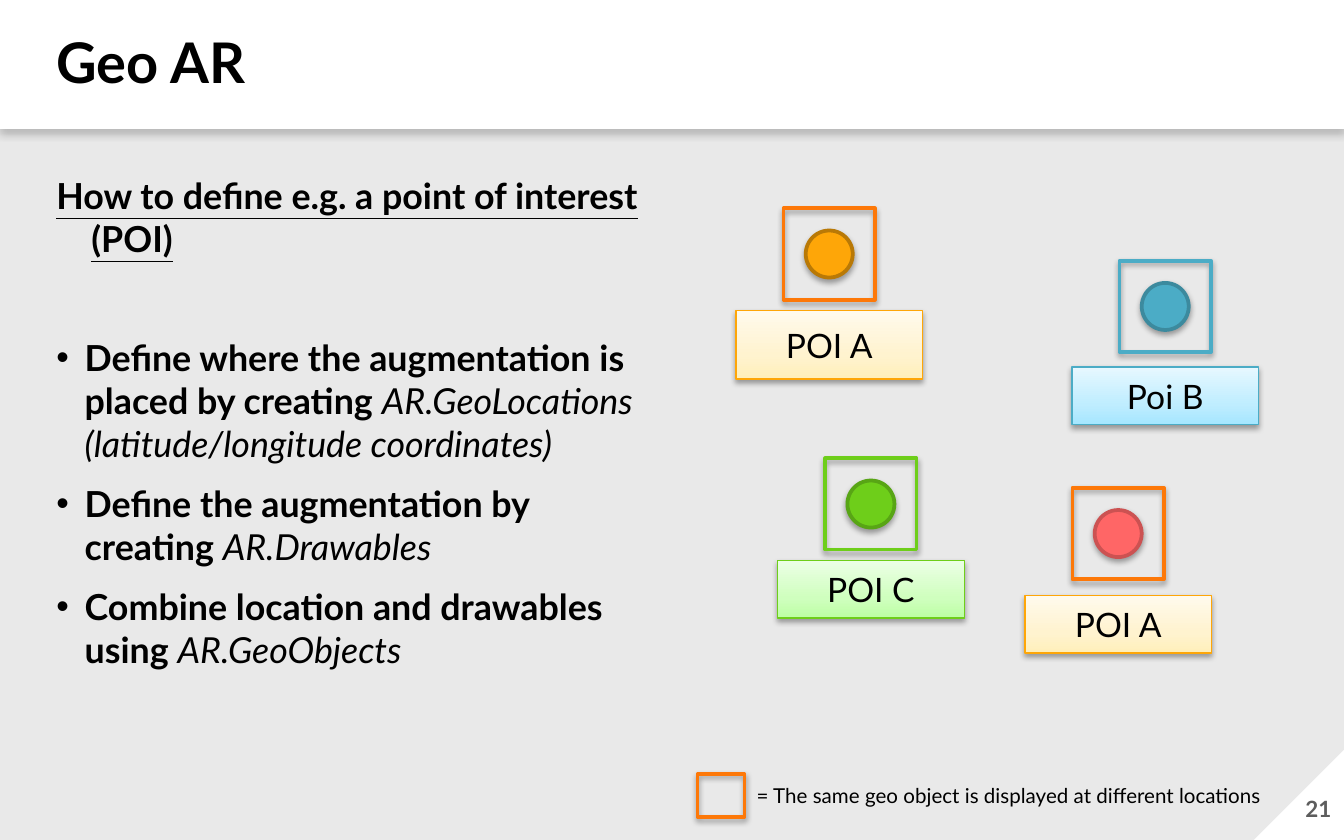
from lxml.etree import SubElement
from pptx import Presentation
from pptx.dml.color import RGBColor
from pptx.enum.shapes import MSO_SHAPE
from pptx.enum.text import MSO_ANCHOR, MSO_AUTO_SIZE, PP_ALIGN
from pptx.oxml.ns import qn
from pptx.util import Inches, Pt

TITLE = "Geo AR"
PAGE = "21"
HEADING = "How to define e.g. a point of interest (POI)"
STEPS = [
    ("Define where the augmentation is placed by creating ",
     "AR.GeoLocations (latitude/longitude coordinates)"),
    ("Define the augmentation by creating ", "AR.Drawables"),
    ("Combine location and drawables using ", "AR.GeoObjects"),
]
LEGEND = "= The same geo object is displayed at different locations"

# name, label colours, marker, centre x, frame top, label top, label height
POIS = [
    ("POI A", "orange", "orange", 6.17, 1.55, 2.31, 0.51),
    ("Poi B", "blue", "blue", 8.67, 1.94, 2.73, 0.43),
    ("POI C", "green", "green", 6.48, 3.41, 4.17, 0.43),
    ("POI A", "orange", "red", 8.32, 3.63, 4.43, 0.43),
]

THEME = {
    "font": "Lato",
    "back": "E9E9E9", "panel": "FFFFFF", "text": "000000", "page": "5D5D5D",
    "title_size": 30, "body_size": 19.2, "label_size": 18,
    "page_size": 12, "legend_size": 11,
    "marker": {"orange": ("FEA608", "B97906"), "blue": ("4BACC6", "3C8A9E"),
               "green": ("6ECE1A", "58A515"), "red": ("FF6666", "CC5252")},
    "frame": {"orange": "FD7808", "blue": "4BACC6", "green": "6ECE1A"},
    "label": {"orange": ("FFEFBA", "FFF3CF", "FFFAED"),
              "blue": ("A5E6FF", "BFEDFF", "E7F8FF"),
              "green": ("BCFFA4", "CFFFBE", "ECFFE6")},
    "bar_shadow": {"alpha": 20, "blur": 4, "dist": 3},
    "shape_shadow": {"alpha": 35, "blur": 3, "dist": 1.8},
}
MARKER, FRAME, LABEL = 0.35, 0.68, 1.39


def set_all(target, **values):
    for name, value in values.items():
        setattr(target, name, value)


def colour(hex_value):
    return RGBColor.from_string(hex_value)


def place(shape, left, top, width, height):
    set_all(shape, left=Inches(left), top=Inches(top),
            width=Inches(width), height=Inches(height))


def set_frame(shape, inset=0, **values):
    set_all(shape.text_frame, **{f"margin_{side}": Inches(inset)
                                 for side in ("left", "top", "right", "bottom")})
    set_all(shape.text_frame, **values)


def add_run(paragraph, text, size, ink=THEME["text"], **values):
    run = paragraph.add_run()
    run.text = text
    set_all(run.font, name=THEME["font"], size=Pt(size), **values)
    run.font.color.rgb = colour(ink)


def add_shadow(shape, alpha, blur, dist):
    shape.shadow.inherit = False
    effects = shape._element.spPr.find(qn("a:effectLst"))
    outer = SubElement(effects, qn("a:outerShdw"), blurRad=str(Pt(blur)),
                       dist=str(Pt(dist)), dir="5400000", rotWithShape="0")
    ink = SubElement(outer, qn("a:srgbClr"), val="000000")
    SubElement(ink, qn("a:alpha"), val=str(alpha * 1000))


def fill_gradient(shape, stops):
    shape.fill.gradient()
    shape.fill.gradient_angle = 90
    stop_list = shape._element.spPr.find(qn("a:gradFill")).find(qn("a:gsLst"))
    for old in list(stop_list):
        stop_list.remove(old)
    for position, ink in zip((0, 35, 100), stops):
        stop = SubElement(stop_list, qn("a:gs"), pos=str(position * 1000))
        SubElement(stop, qn("a:srgbClr"), val=ink)


def add_box(slide, kind, box, line, width=2, fill=None):
    shape = slide.shapes.add_shape(kind, *map(Inches, box))
    if fill:
        shape.fill.solid()
        shape.fill.fore_color.rgb = colour(fill)
    else:
        shape.fill.background()
    if line:
        shape.line.color.rgb = colour(line)
        shape.line.width = Pt(width)
    else:
        shape.line.fill.background()
    add_shadow(shape, **THEME["shape_shadow" if line else "bar_shadow"])
    return shape


def add_text(slide, box, text, size, inset=0, ink=THEME["text"], align=PP_ALIGN.LEFT,
             **values):
    text_box = slide.shapes.add_textbox(*map(Inches, box))
    set_frame(text_box, inset, word_wrap=False,
              vertical_anchor=MSO_ANCHOR.MIDDLE)
    paragraph = text_box.text_frame.paragraphs[0]
    paragraph.alignment = align
    add_run(paragraph, text, size, ink, **values)


def hang(paragraph, indent, bullet=None):
    properties = paragraph._p.get_or_add_pPr()
    properties.set("marL", str(Inches(indent)))
    properties.set("indent", str(-Inches(indent)))
    if bullet:
        SubElement(properties, qn("a:buFont"), typeface="Arial")
        SubElement(properties, qn("a:buChar"), char=bullet)
    else:
        SubElement(properties, qn("a:buNone"))


def add_background(slide):
    slide.background.fill.solid()
    slide.background.fill.fore_color.rgb = colour(THEME["back"])
    header = add_box(slide, MSO_SHAPE.RECTANGLE, (0, 0, 10, 0.96), None,
                     fill=THEME["panel"])
    slide.shapes._spTree.insert(2, header._element)
    outline = slide.shapes.build_freeform(Inches(10), Inches(6.25))
    outline.add_line_segments([(Inches(10), Inches(5.58)),
                               (Inches(9.33), Inches(6.25))])
    corner = outline.convert_to_shape()
    corner.fill.solid()
    corner.fill.fore_color.rgb = colour(THEME["panel"])
    corner.line.fill.background()
    corner.shadow.inherit = False
    add_text(slide, (9.71, 5.92, 0.2, 0.19), PAGE, THEME["page_size"],
             ink=THEME["page"], align=PP_ALIGN.CENTER, bold=True)


def add_content(slide):
    title, body = slide.shapes.title, slide.placeholders[1]
    place(title, 0.42, 0.1, 7.25, 0.71)
    set_frame(title, vertical_anchor=MSO_ANCHOR.MIDDLE, auto_size=MSO_AUTO_SIZE.NONE)
    title_line = title.text_frame.paragraphs[0]
    title_line.alignment = PP_ALIGN.LEFT
    add_run(title_line, TITLE, THEME["title_size"], bold=True)

    place(body, 0.42, 1.29, 4.42, 4.26)
    set_frame(body, auto_size=MSO_AUTO_SIZE.NONE)
    size = THEME["body_size"]
    heading = body.text_frame.paragraphs[0]
    heading.space_before = Pt(0)
    hang(heading, 0.26)
    add_run(heading, HEADING, size, bold=True, underline=True)
    for index, (action, code) in enumerate(STEPS):
        step = body.text_frame.add_paragraph()
        step.space_before = Pt(9 if index else 41)
        hang(step, 0.21, "•")
        add_run(step, action, size, bold=True)
        add_run(step, code, size, italic=True)


def add_poi(slide, name, tone, marker, centre, top, label_top, label_height):
    fill, edge = THEME["marker"][marker]
    gap = (FRAME - MARKER) / 2
    add_box(slide, MSO_SHAPE.OVAL,
            (centre - MARKER / 2, top + gap, MARKER, MARKER), edge, fill=fill)
    add_box(slide, MSO_SHAPE.RECTANGLE,
            (centre - FRAME / 2, top, FRAME, FRAME), THEME["frame"][tone])
    label = add_box(slide, MSO_SHAPE.RECTANGLE,
                    (centre - LABEL / 2, label_top, LABEL, label_height),
                    THEME["marker"][tone][0], 0.75)
    fill_gradient(label, THEME["label"][tone])
    set_frame(label, 0.05, vertical_anchor=MSO_ANCHOR.MIDDLE)
    caption = label.text_frame.paragraphs[0]
    caption.alignment = PP_ALIGN.CENTER
    add_run(caption, name, THEME["label_size"])


def main():
    deck = Presentation()
    set_all(deck, slide_width=Inches(10), slide_height=Inches(6.25))
    slide = deck.slides.add_slide(deck.slide_layouts[1])
    add_background(slide)
    add_content(slide)
    for poi in POIS:
        add_poi(slide, *poi)
    add_box(slide, MSO_SHAPE.RECTANGLE, (5.19, 5.76, 0.35, 0.32),
            THEME["frame"]["orange"])
    add_text(slide, (5.58, 5.78, 3.92, 0.28), LEGEND, THEME["legend_size"], 0.05)
    deck.save("out.pptx")


if __name__ == "__main__":
    main()
